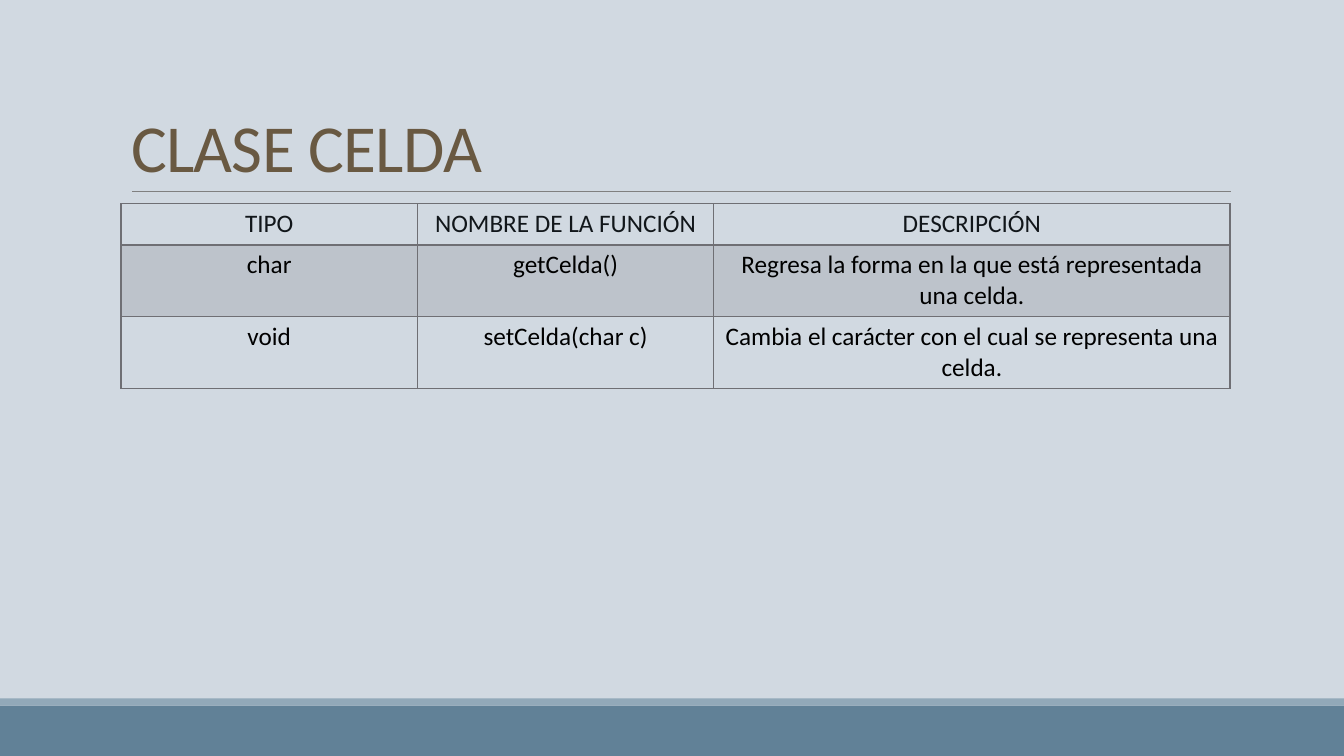
from dataclasses import dataclass

from lxml import etree
from pptx import Presentation
from pptx.dml.color import RGBColor
from pptx.enum import shapes, text
from pptx.oxml import ns
from pptx.util import Inches, Pt

HUES = {
    "back": "D1D9E1",
    "base": "618197",
    "trim": "92A9B9",
    "rule": "808080",
    "title": "695942",
    "head": "11161A",
    "body": "000000",
    "grid": "6F6F74",
}


@dataclass
class Band:
    top: float
    high: float
    hue: str


@dataclass
class Row:
    words: tuple[str, str, str]
    high: float
    hue: str = "body"
    shade: bool = False
    above: int = 1
    below: int = 1


BANDS = [Band(7, 0.5, "base"), Band(6.93, 0.07, "trim")]
WIDTHS = [2.94, 2.94, 5.12]
ROWS = [
    Row(("TIPO", "NOMBRE DE LA FUNCIÓN", "DESCRIPCIÓN"), 0.41, "head", below=2),
    Row(("char", "getCelda()", "Regresa la forma en la que está representada una celda."),
        0.71, shade=True, above=2),
    Row(("void", "setCelda(char c)", "Cambia el carácter con el cual se representa una celda."),
        0.71),
]


def color(name: str) -> RGBColor:
    return RGBColor.from_string(HUES[name])


def write(frame, words: str, *, size: float, hue: str, align=text.PP_ALIGN.LEFT,
          lead: float = 1.0, track: int = 0) -> None:
    para = frame.paragraphs[0]
    para.alignment = align
    para.line_spacing = lead
    run = para.add_run()
    run.text = words
    run.font.name = "Calibri"
    run.font.size = Pt(size)
    run.font.bold = False
    run.font.color.rgb = color(hue)
    if track:
        run.font._element.set("spc", str(track))


def draw_band(slide, band: Band) -> None:
    box = slide.shapes.add_shape(shapes.MSO_SHAPE.RECTANGLE, 0, Inches(band.top),
                                 Inches(13.33), Inches(band.high))
    box.shadow.inherit = False
    box.fill.solid()
    box.fill.fore_color.rgb = color(band.hue)
    box.line.fill.background()


def draw_rule(slide) -> None:
    rule = slide.shapes.add_connector(shapes.MSO_CONNECTOR.STRAIGHT, Inches(1.31),
                                      Inches(1.9), Inches(12.21), Inches(1.9))
    rule.line.color.rgb = color("rule")
    rule.line.width = Pt(0.5)
    etree.SubElement(rule._element.spPr, ns.qn("a:effectLst"))


def draw_title(slide) -> None:
    title = slide.shapes.title
    title.left, title.top = Inches(1.2), Inches(0.31)
    title.width, title.height = Inches(11), Inches(1.59)
    frame = title.text_frame
    frame.word_wrap = True
    frame.auto_size = text.MSO_AUTO_SIZE.NONE
    frame.vertical_anchor = text.MSO_ANCHOR.BOTTOM
    write(frame, "CLASE CELDA", size=48, hue="title", lead=0.85, track=-50)


def edge(cell, side: str, width: int) -> None:
    line = etree.SubElement(cell._tc.get_or_add_tcPr(), ns.qn(f"a:ln{side}"), w=str(Pt(width)))
    fill = etree.SubElement(line, ns.qn("a:solidFill"))
    etree.SubElement(fill, ns.qn("a:srgbClr"), val=HUES["grid"])


def draw_cell(cell, words: str, row: Row) -> None:
    write(cell.text_frame, words, size=18, hue=row.hue, align=text.PP_ALIGN.CENTER)
    for side, width in (("L", 1), ("R", 1), ("T", row.above), ("B", row.below)):
        edge(cell, side, width)
    if not row.shade:
        cell.fill.background()
        return
    cell.fill.solid()
    cell.fill.fore_color.rgb = color("grid")
    tint = cell._tc.tcPr.find(ns.qn("a:solidFill")).find(ns.qn("a:srgbClr"))
    etree.SubElement(tint, ns.qn("a:alpha"), val="20000")


def draw_table(slide) -> None:
    high = sum(row.high for row in ROWS)
    table = slide.shapes.add_table(len(ROWS), len(WIDTHS), Inches(1.2), Inches(2.02),
                                   Inches(sum(WIDTHS)), Inches(high)).table
    table.first_row = table.horz_banding = False
    for col, width in zip(table.columns, WIDTHS):
        col.width = Inches(width)
    for line, row in zip(table.rows, ROWS):
        line.height = Inches(row.high)
        for cell, words in zip(line.cells, row.words):
            draw_cell(cell, words, row)


def main() -> None:
    deck = Presentation()
    deck.slide_width, deck.slide_height = Inches(13.33), Inches(7.5)
    slide = deck.slides.add_slide(deck.slide_layouts[5])
    slide.background.fill.solid()
    slide.background.fill.fore_color.rgb = color("back")
    for band in BANDS:
        draw_band(slide, band)
    draw_rule(slide)
    draw_title(slide)
    draw_table(slide)
    deck.save("out.pptx")


if __name__ == "__main__":
    main()
